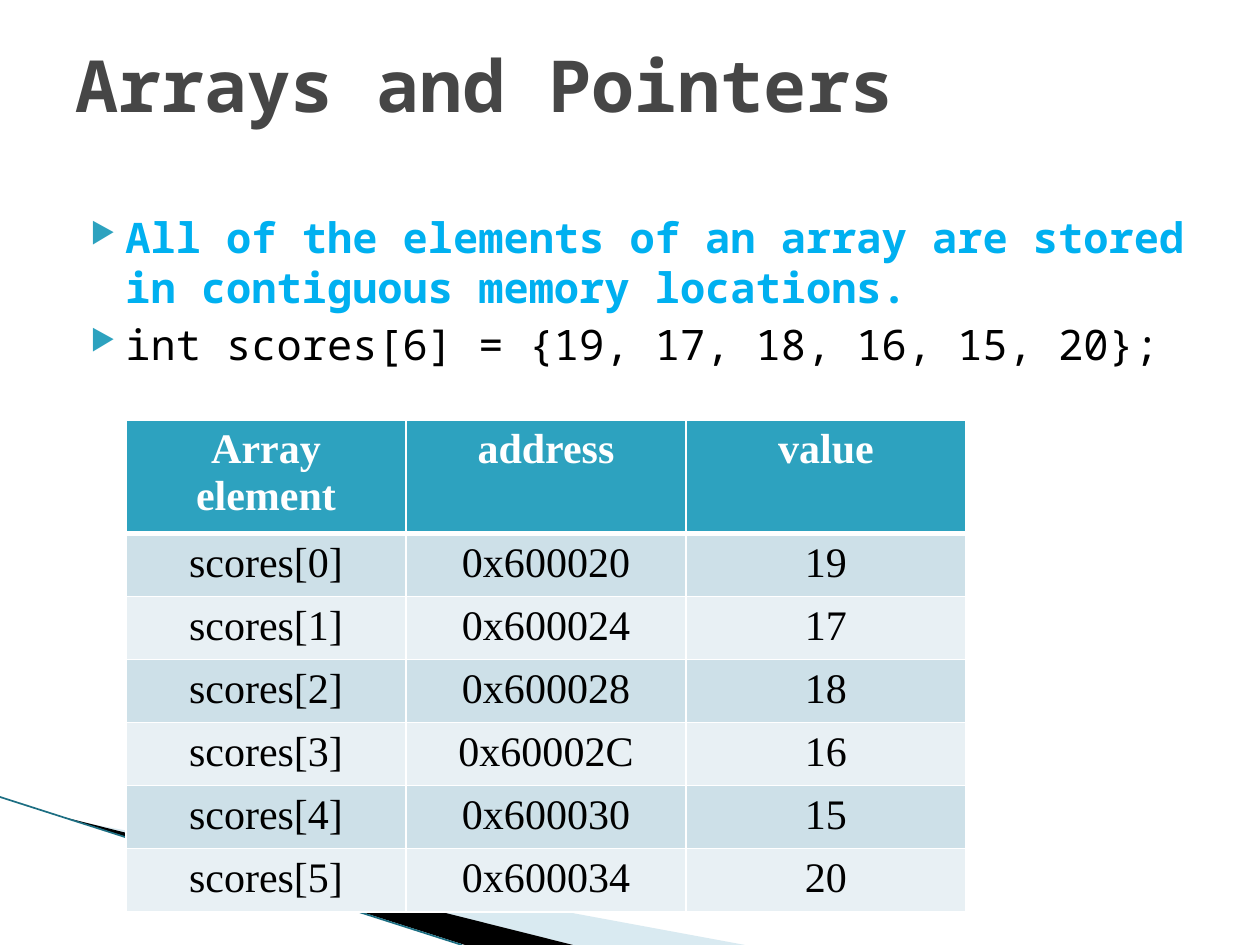
import pptx
import pptx.util
import pptx.dml.color
import pptx.enum.shapes
import pptx.enum.text
import pptx.oxml.ns
from lxml import etree

PX = 914400 / 126
MONO = "Noto Sans Mono"
SERIF = "Times New Roman"
COLORS = {
    "title": "464646", "key": "00B0F0", "text": "000000", "teal": "2DA2BF",
    "white": "FFFFFF", "odd": "CDE0E8", "even": "E8F0F4",
    "pale": "A0CBDC", "edge": "1C6E82",
}


def px(n):
    """Turn picture pixels into EMU."""
    return pptx.util.Emu(round(n * PX))


def rgb(name):
    """Look up a named colour."""
    return pptx.dml.color.RGBColor.from_string(COLORS[name])


def add(parent, tag, **attrs):
    """Append a DrawingML element."""
    return etree.SubElement(parent, pptx.oxml.ns.qn(tag), **attrs)


def style(para, face, size, color, bold=False):
    """Set the font of a paragraph."""
    font = para.font
    font.name, font.size, font.bold = face, pptx.util.Pt(size), bold
    font.color.rgb = rgb(color)


def wedge(slide, points, color, alpha=None):
    """Draw a filled outline, see-through if alpha is given in percent."""
    pen = slide.shapes.build_freeform(*points[0], scale=PX)
    pen.add_line_segments(points[1:], close=True)
    shape = pen.convert_to_shape()
    shape.shadow.inherit = False
    shape.line.fill.background()
    shape.fill.solid()
    shape.fill.fore_color.rgb = rgb(color)
    if alpha:
        tint = shape.element.spPr.find(".//" + pptx.oxml.ns.qn("a:srgbClr"))
        add(tint, "a:alpha", val=str(alpha * 1000))


def stroke(slide, start, end, color, width):
    """Draw a straight line."""
    line = slide.shapes.add_connector(
        pptx.enum.shapes.MSO_CONNECTOR.STRAIGHT,
        *(px(n) for n in start + end))
    line.line.color.rgb = rgb(color)
    line.line.width = pptx.util.Pt(width)
    add(line.element.spPr, "a:effectLst")


def frame(slide, left, top, width, height):
    """Add a wrapping text box without top and bottom margins."""
    box = slide.shapes.add_textbox(px(left), px(top), px(width), px(height))
    text = box.text_frame
    text.word_wrap = True
    text.margin_top = text.margin_bottom = 0
    return text


def title(slide, words):
    """Add the slide title."""
    text = frame(slide, 63, 5, 1134, 157)
    text.vertical_anchor = pptx.enum.text.MSO_ANCHOR.MIDDLE
    text.paragraphs[0].text = words
    style(text.paragraphs[0], MONO, 41, "title", True)


def bullets(slide, items):
    """Add the bulleted lines, each given as words, colour and bold."""
    text = frame(slide, 63, 212, 1140, 165)
    text.margin_right = 0
    for i, (words, color, bold) in enumerate(items):
        para = text.add_paragraph() if i else text.paragraphs[0]
        para.text = words
        style(para, MONO, 24, color, bold)
        para.line_spacing = pptx.util.Pt(28.6)
        para.space_before = pptx.util.Pt(4 if i else 0)
        props = para._p.get_or_add_pPr()
        props.set("marL", str(px(50)))
        props.set("indent", str(px(-35)))
        mark = [add(props, "a:buClr"), add(props, "a:buSzPct", val="68000"),
                add(props, "a:buChar", char="\u25b6")]
        add(mark[0], "a:srgbClr", val=COLORS["teal"])
        for item in mark:
            props.find(pptx.oxml.ns.qn("a:defRPr")).addprevious(item)


def border(cell, head):
    """Give a cell white borders, thicker below the header."""
    props = cell._tc.get_or_add_tcPr()
    for i, side in enumerate("LRTB"):
        width = 3 if head and side == "B" else 1
        line = add(props, "a:ln" + side, w=str(width * 12700))
        add(add(line, "a:solidFill"), "a:srgbClr", val=COLORS["white"])
        props.insert(i, line)


def grid(slide, rows):
    """Add the table of elements, addresses and values."""
    table = slide.shapes.add_table(
        len(rows), 3, px(126), px(420), px(840), px(459)).table
    for col in table.columns:
        col.width = px(280)
    for r, row in enumerate(rows):
        head = r == 0
        table.rows[r].height = px(59 if r else 105)
        for c, words in enumerate(row):
            cell = table.cell(r, c)
            cell.text = words
            para = cell.text_frame.paragraphs[0]
            para.alignment = pptx.enum.text.PP_ALIGN.CENTER
            style(para, SERIF, 24, "white" if head else "text", head)
            cell.fill.solid()
            cell.fill.fore_color.rgb = rgb(
                "teal" if head else "odd" if r % 2 else "even")
            border(cell, head)


def main():
    """Build the slide."""
    deck = pptx.Presentation()
    deck.slide_width, deck.slide_height = px(1260), px(945)
    slide = deck.slides.add_slide(deck.slide_layouts[6])
    wedge(slide, [(69, 820), (745, 945), (573, 945)], "pale", 40)
    wedge(slide, [(67, 818), (573, 945), (465, 945)], "text")
    stroke(slide, (0, 797), (462, 945), "edge", 0.95)
    bullets(slide, [
        ("All of the elements of an array are stored in contiguous "
         "memory locations.", "key", True),
        ("int scores[6] = {19, 17, 18, 16, 15, 20};", "text", False)])
    title(slide, "Arrays and Pointers")
    scores = [19, 17, 18, 16, 15, 20]
    grid(slide, [("Array element", "address", "value")] + [
        (f"scores[{i}]", f"0x{0x600020 + 4 * i:X}", str(score))
        for i, score in enumerate(scores)])
    deck.save("out.pptx")


main()
